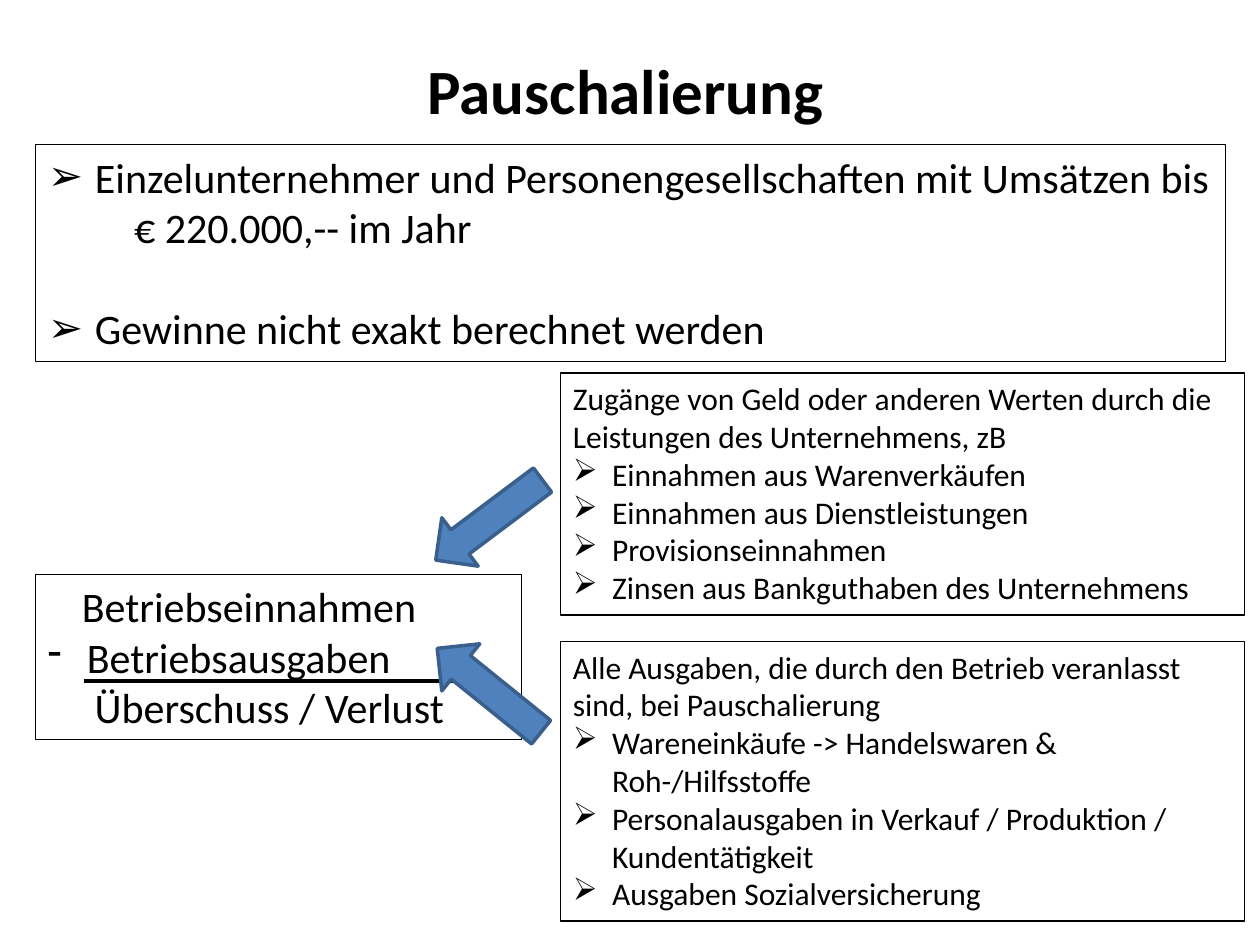
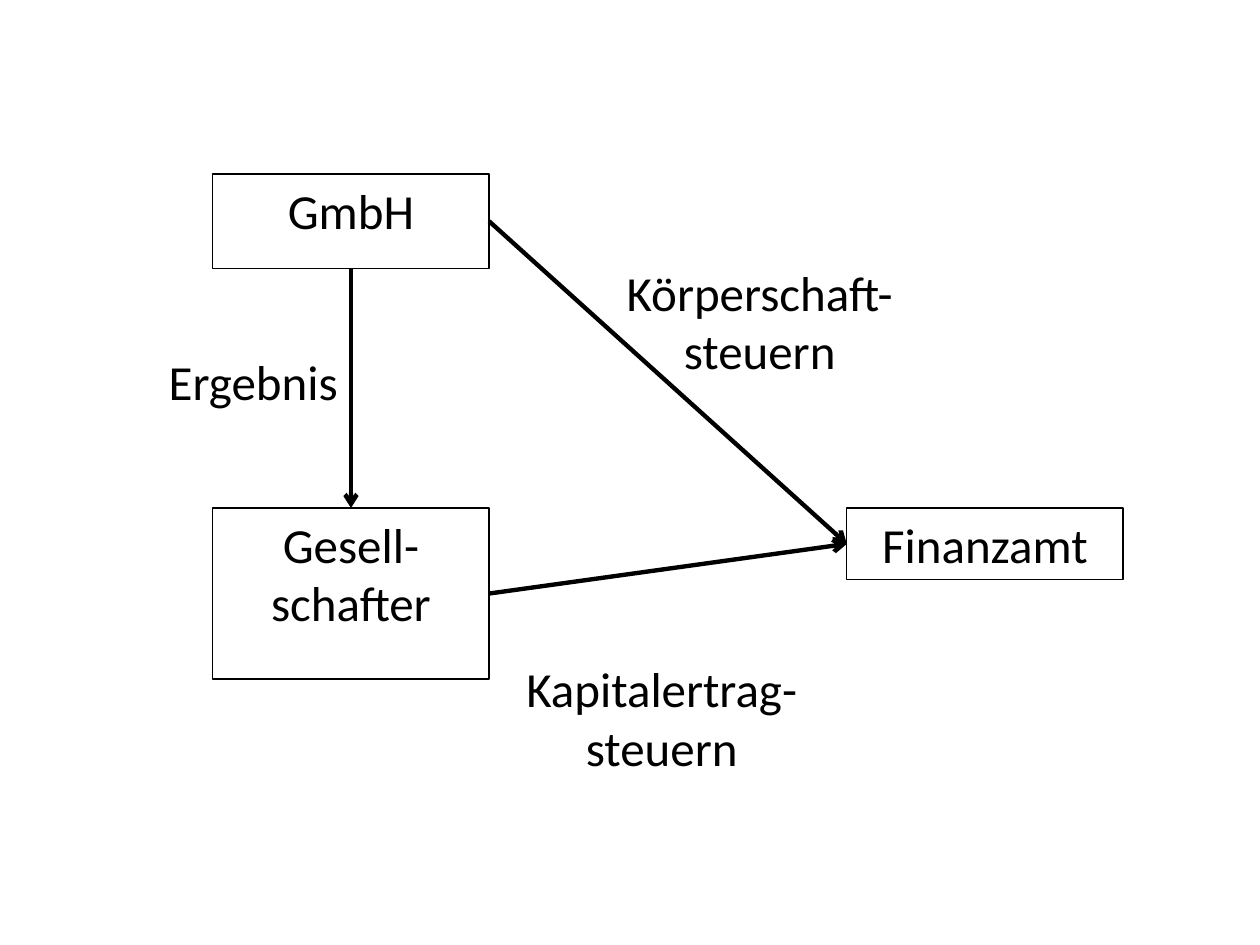
from pptx import Presentation
from pptx.dml.color import RGBColor
from pptx.enum.shapes import MSO_CONNECTOR as LINK, MSO_SHAPE as FORM
from pptx.enum.text import MSO_ANCHOR as ANCHOR, MSO_AUTO_SIZE as AUTO, PP_ALIGN as ALIGN
from pptx.oxml.ns import qn
from pptx.util import Cm, Pt
from lxml.etree import SubElement

FONT = "Calibri"
HUES = {"ink": "000000", "arrow": "4F81BD", "edge": "3A5F8C"}

# A paragraph is (text, left indent in cm, bullet, space before in pt).
TITLE = "Pauschalierung"
RULES = [
    ("Einzelunternehmer und Personengesellschaften mit Umsätzen bis", 0.95, "➢", 0),
    ("€ 220.000,-- im Jahr", 1.74, None, 0),
    ("Gewinne nicht exakt berechnet werden", 0.95, "➢", 29),
]
RESULT = [
    ("Betriebseinnahmen", 0.69, None, 0),
    ("Betriebsausgaben", 0.79, "-", 0),
    ("Überschuss / Verlust", 0.95, None, 0),
]
# Details: top, height, arrow top, arrow angle, lead text, list items
DETAILS = [
    (7.52, 4.88, 9.14, 53.1,
     "Zugänge von Geld oder anderen Werten durch die Leistungen des Unternehmens, zB",
     ["Einnahmen aus Warenverkäufen", "Einnahmen aus Dienstleistungen",
      "Provisionseinnahmen", "Zinsen aus Bankguthaben des Unternehmens"]),
    (12.93, 5.64, 12.57, 128.9,
     "Alle Ausgaben, die durch den Betrieb veranlasst sind, bei Pauschalierung",
     ["Wareneinkäufe -> Handelswaren & Roh-/Hilfsstoffe",
      "Personalausgaben in Verkauf / Produktion / Kundentätigkeit",
      "Ausgaben Sozialversicherung"]),
]

# Each part: text, (left, top, width, height) in cm
PARTIES = {
    "firm": ("GmbH", (4.29, 3.51, 5.57, 1.9)),
    "owner": ("Gesell-schafter", (4.29, 10.24, 5.57, 3.45)),
    "office": ("Finanzamt", (17.07, 10.24, 5.57, 1.45)),
}
LABELS = [
    ("Ergebnis", (1.98, 6.96, 6.25, 1.45)),
    ("Körperschaft-steuern", (12.19, 5.16, 6.25, 2.64)),
    ("Kapitalertrag-steuern", (9.63, 13.16, 7.42, 2.64)),
]
LEFT, BASE, RIGHT, HEAD = 1, 2, 3, 0
FLOWS = [("firm", BASE, "owner", HEAD), ("owner", RIGHT, "office", LEFT),
         ("firm", RIGHT, "office", LEFT)]


def hue(name):
    return RGBColor.from_string(HUES[name])


def place(shape, area):
    shape.left, shape.top, shape.width, shape.height = map(Cm, area)


def stroke(line, name, width):
    line.color.rgb = hue(name)
    line.width = Pt(width)


def write(shape, paras, size, align=ALIGN.LEFT, bold=False):
    frame = shape.text_frame
    frame.word_wrap = True
    frame.auto_size = AUTO.NONE
    for i, (text, left, mark, gap) in enumerate(paras):
        para = frame.add_paragraph() if i else frame.paragraphs[0]
        para.alignment = align
        para.space_before = Pt(gap)
        props = para._p.get_or_add_pPr()
        props.set("marL", str(Cm(left)))
        props.set("indent", str(-Cm(left) if mark else 0))
        if mark:
            SubElement(props, qn("a:buChar")).set("char", mark)
        else:
            SubElement(props, qn("a:buNone"))
        run = para.add_run()
        run.text = text
        run.font.name, run.font.size, run.font.bold = FONT, Pt(size), bold
        run.font.color.rgb = hue("ink")


def box(slide, area, paras, size, align=ALIGN.LEFT, frame=True):
    shape = slide.shapes.add_textbox(*map(Cm, area))
    if frame:
        stroke(shape.line, "ink", 0.75)
    write(shape, paras, size, align)
    return shape


def link(slide, ends, width):
    line = slide.shapes.add_connector(LINK.STRAIGHT, *map(Cm, ends))
    stroke(line.line, "ink", width)
    SubElement(line._element.spPr, qn("a:effectLst"))
    return line


def block_arrow(slide, top, angle):
    arrow = slide.shapes.add_shape(FORM.DOWN_ARROW, *map(Cm, (9.25, top, 1.22, 2.69)))
    arrow.rotation = angle
    arrow.shadow.inherit = False
    arrow.fill.solid()
    arrow.fill.fore_color.rgb = hue("arrow")
    stroke(arrow.line, "edge", 2)


def flat_rate(deck):
    slide = deck.slides.add_slide(deck.slide_layouts[1])
    title, body = slide.placeholders
    place(title, (0.71, 0.91, 23.8, 1.8))
    write(title, [(TITLE, 0, None, 0)], 36, ALIGN.CENTER, True)
    place(body, (0.71, 2.92, 24, 4.37))
    stroke(body.line, "ink", 0.75)
    body.text_frame.vertical_anchor = ANCHOR.TOP
    write(body, RULES, 24)

    box(slide, (0.71, 11.58, 9.8, 3.33), RESULT, 24)
    link(slide, (1.7, 13.72, 9.5, 13.72), 2.25)
    for top, height, tip, angle, lead, items in DETAILS:
        paras = [(lead, 0, None, 0)] + [(item, 0.79, "➢", 0) for item in items]
        box(slide, (11.3, top, 13.79, height), paras, 18)
        block_arrow(slide, tip, angle)


def tax_flow(deck):
    slide = deck.slides.add_slide(deck.slide_layouts[6])
    nodes = {key: box(slide, area, [(text, 0, None, 0)], 28, ALIGN.CENTER)
             for key, (text, area) in PARTIES.items()}
    for start, out, end, into in FLOWS:
        line = link(slide, (0, 0, 0, 0), 2.5)
        line.begin_connect(nodes[start], out)
        line.end_connect(nodes[end], into)
        SubElement(line.line._get_or_add_ln(), qn("a:tailEnd")).set("type", "arrow")
    for text, area in LABELS:
        box(slide, area, [(text, 0, None, 0)], 28, ALIGN.CENTER, False)


def main():
    deck = Presentation()
    deck.slide_width, deck.slide_height = Cm(25.4), Cm(19.05)
    flat_rate(deck)
    tax_flow(deck)
    deck.save("out.pptx")


if __name__ == "__main__":
    main()
